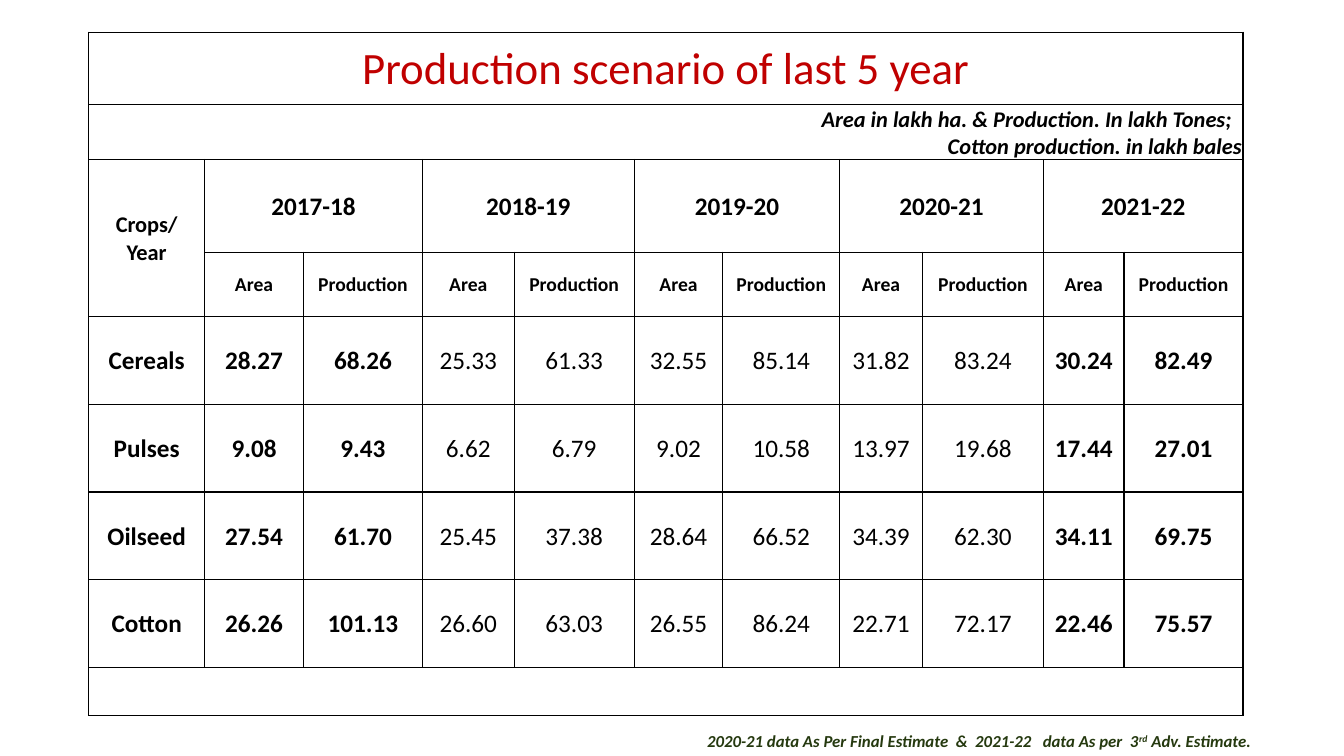
from lxml.etree import SubElement
from pptx import Presentation
from pptx.dml.color import RGBColor
from pptx.enum.text import MSO_ANCHOR as Anchor, PP_ALIGN as Align
from pptx.oxml import parse_xml
from pptx.oxml.ns import nsdecls, qn
from pptx.util import Inches, Pt

YEARS = ["2017-18", "2018-19", "2019-20", "2020-21", "2021-22"]
CROPS = {
    "Cereals": "28.27 68.26 25.33 61.33 32.55 85.14 31.82 83.24 30.24 82.49",
    "Pulses": "9.08 9.43 6.62 6.79 9.02 10.58 13.97 19.68 17.44 27.01",
    "Oilseed": "27.54 61.70 25.45 37.38 28.64 66.52 34.39 62.30 34.11 69.75",
    "Cotton": "26.26 101.13 26.60 63.03 26.55 86.24 22.71 72.17 22.46 75.57",
}
COLS = [1.15, 0.98, 1.18, 0.91, 1.19, 0.88, 1.16, 0.82, 1.2, 0.8, 1.18]
ROWS = [0.72, 0.51, 0.92, 0.64, *[0.87] * len(CROPS), 0.48]
BOLD_COLS = {0, 1, 2, 9, 10}


def color(value):
    """Turn a hex string into a colour."""
    return RGBColor.from_string(value)


class SlideBuilder:
    """Hold the text style and the current slide."""

    style = {"name": "Calibri", "size": Pt(18), "bold": True, "italic": False}
    ink = "000000"

    def __init__(self, prs):
        """Add a blank slide."""
        self.s = prs.slides.add_slide(prs.slide_layouts[6])

    def run(self, p, text, ink=None, **formats):
        """Add a styled run to a paragraph."""
        r = p.add_run()
        r.text = text
        for name, value in {**self.style, **formats}.items():
            setattr(r.font, name, value)
        r.font.color.rgb = color(ink or self.ink)
        return r

    def note(self, left, top, width, height, parts, **formats):
        """Add a one-line text box from (text, baseline) parts."""
        tf = self.s.shapes.add_textbox(*map(Inches, (left, top, width, height))).text_frame
        tf.word_wrap = True
        p = tf.paragraphs[0]
        p.alignment = Align.CENTER
        for text, baseline in parts:
            r = self.run(p, text, **formats)
            if baseline:
                r.font._element.set("baseline", str(baseline))

    def table(self, left, top, cols, rows):
        """Add a plain table with thin borders."""
        table = self.s.shapes.add_table(len(rows), len(cols), Inches(left), Inches(top),
                                        Inches(sum(cols)), Inches(sum(rows))).table
        table.first_row = table.horz_banding = False
        for col, width in zip(table.columns, cols):
            col.width = Inches(width)
        for row, height in zip(table.rows, rows):
            row.height = Inches(height)
        for cell in table.iter_cells():
            cell.fill.background()
            self.border(cell)
        return table

    def border(self, cell):
        """Draw all four sides of a cell."""
        tcPr = cell._tc.get_or_add_tcPr()
        for i, side in enumerate(("lnL", "lnR", "lnT", "lnB")):
            ln = parse_xml(f'<a:{side} {nsdecls("a")} w="12700"/>')
            fill = SubElement(ln, qn("a:solidFill"))
            SubElement(fill, qn("a:srgbClr"), val=self.ink)
            tcPr.insert(i, ln)

    def cell(self, table, row, col, text, span=(1, 1), align=Align.CENTER, **formats):
        """Fill a cell, merging it over its span."""
        cell = table.cell(row, col)
        if span != (1, 1):
            cell.merge(table.cell(row + span[0] - 1, col + span[1] - 1))
        layout = {"vertical_anchor": Anchor.MIDDLE, "margin_left": Inches(0.01),
                  "margin_right": Inches(0.01), "margin_top": Inches(0.01), "margin_bottom": 0}
        for name, value in layout.items():
            setattr(cell, name, value)
        tf = cell.text_frame
        for i, line in enumerate(text.split("\n")):
            p = tf.add_paragraph() if i else tf.paragraphs[0]
            p.alignment = align
            if line:
                self.run(p, line, **formats)


def main():
    """Build the crop production slide."""
    prs = Presentation()
    prs.slide_width, prs.slide_height = Inches(13.33), Inches(7.5)
    slide = SlideBuilder(prs)
    slide.note(6.64, 7.2, 6.14, 0.3,
               [("2020-21 data As Per Final Estimate  &  2021-22   data As per  3", 0),
                ("rd", 30000), (" Adv. Estimate.", 0)],
               ink="25390F", size=Pt(12), italic=True)

    table = slide.table(0.88, 0.32, COLS, ROWS)
    full = (1, len(COLS))
    slide.cell(table, 0, 0, "Production scenario of last 5 year", full,
               ink="C00000", size=Pt(32), bold=False)
    slide.cell(table, 1, 0,
               "Area in lakh ha. & Production. In lakh Tones;  \nCotton production. in lakh bales",
               full, Align.RIGHT, size=Pt(16), italic=True)
    slide.cell(table, 2, 0, "Crops/\nYear", (2, 1), size=Pt(16))
    for i, year in enumerate(YEARS):
        col = 1 + 2 * i
        slide.cell(table, 2, col, year, (1, 2))
        for j, measure in enumerate(("Area", "Production")):
            slide.cell(table, 3, col + j, measure, size=Pt(14))
    for row, (crop, values) in enumerate(CROPS.items(), 4):
        for col, text in enumerate([crop, *values.split()]):
            slide.cell(table, row, col, text, bold=col in BOLD_COLS)
    slide.cell(table, len(ROWS) - 1, 0, "", full)
    prs.save("out.pptx")


if __name__ == "__main__":
    main()
